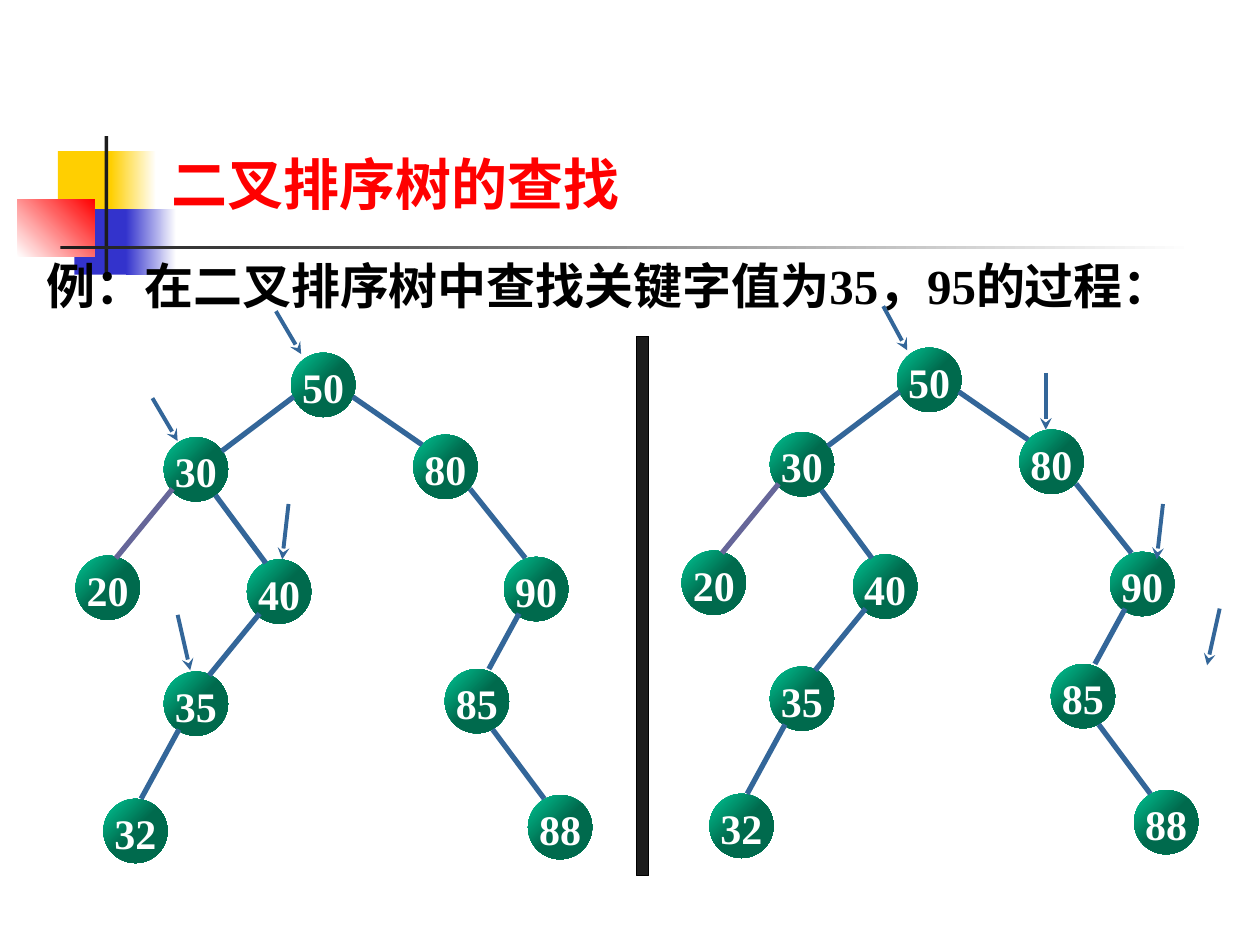
"""Builds a slide on searching a binary sort tree for 35 and 95."""
from lxml.etree import SubElement
from pptx import Presentation
from pptx.dml.color import RGBColor
from pptx.enum.shapes import MSO_CONNECTOR, MSO_SHAPE
from pptx.enum.text import MSO_ANCHOR, MSO_AUTO_SIZE, PP_ALIGN
from pptx.oxml.ns import qn
from pptx.util import Inches, Pt


def paint(item, *tints, turn=0, ends=(0, 1)):
    """Fill an item or font with one hex colour, or a gradient of two."""
    if len(tints) == 1:
        item.fill.solid()
        item.fill.fore_color.rgb = RGBColor.from_string(tints[0])
        return
    item.fill.gradient()
    item.fill.gradient_angle = turn
    for stop, tint, end in zip(item.fill.gradient_stops, tints, ends):
        stop.color.rgb = RGBColor.from_string(tint)
        stop.position = end


def write(frame, text, size, tint):
    """Add one bold run to the first paragraph of a frame."""
    run = frame.paragraphs[0].add_run()
    run.text = text
    run.font.name = "Times New Roman"
    run.font.size = Pt(size)
    run.font.bold = True
    paint(run.font, tint)


deck = Presentation()
deck.slide_width, deck.slide_height = Inches(10), Inches(7.5)
unit = deck.slide_width / 10
slide = deck.slides.add_slide(deck.slide_layouts[5])
shapes = slide.shapes

bars = [
    (0.46, 1.2, 0.48, 0.52, 0, ["FFCF01"]),
    (0.88, 1.2, 0.36, 0.52, 0, ["FFCF01", "FFFFFF"]),
    (0.59, 1.66, 0.46, 0.52, 0, ["3333CC"]),
    (1, 1.66, 0.4, 0.52, 0, ["3333CC", "FFFFFF"]),
    (0.14, 1.58, 0.61, 0.46, 45, ["FFFFFF", "FF0000"]),
    (0.83, 1.08, 0.03, 1.15, 0, ["1C1C1C"]),
    (0.48, 1.95, 9, 0.03, 0, ["1C1C1C", "FFFFFF"]),
    (5.05, 2.67, 0.1, 4.28, 0, ["1C1C1C"]),
]
for *place, turn, tints in bars:
    bar = shapes.add_shape(MSO_SHAPE.RECTANGLE, *[int(n * unit) for n in place])
    bar.shadow.inherit = False
    bar.line.fill.background()
    paint(bar, *tints, turn=turn)
paint(bar.line, "000000")
bar.line.width = Pt(0.75)

title = shapes.title
lead = shapes.add_textbox(0, 0, 0, 0)
texts = [
    (title, (1.26, 1.14, 4.5, 0.63), "二叉排序树的查找", 32, "FF0000"),
    (lead, (0.27, 1.98, 9.15, 0.57), "例：在二叉排序树中查找关键字值为35，95的过程：", 28, "000000"),
]
for box, place, text, size, tint in texts:
    box.left, box.top, box.width, box.height = [int(n * unit) for n in place]
    frame = box.text_frame
    frame.word_wrap = True
    frame.auto_size = MSO_AUTO_SIZE.NONE
    frame.vertical_anchor = MSO_ANCHOR.TOP
    frame.paragraphs[0].alignment = PP_ALIGN.LEFT
    write(frame, text, size, tint)

side = 0.51
nodes = {
    "50": (2.31, 2.8), "30": (1.3, 3.47), "20": (0.6, 4.41), "80": (3.28, 3.45),
    "90": (4, 4.42), "85": (3.53, 5.31), "88": (4.19, 6.31), "40": (1.96, 4.44),
    "35": (1.3, 5.33), "32": (0.82, 6.34),
}
edges = [
    (2.33, 3.15, 1.76, 3.58), (1.37, 3.88, 0.92, 4.43), (2.8, 3.15, 3.35, 3.53),
    (1.71, 3.93, 2.11, 4.47), (2.06, 4.87, 1.66, 5.36), (3.73, 3.88, 4.17, 4.43),
    (4.12, 4.87, 3.88, 5.31), (3.91, 5.79, 4.32, 6.34), (1.42, 5.79, 1.12, 6.34),
]
steps = [
    (2.19, 2.47, 2.39, 2.81), (1.21, 3.16, 1.41, 3.5),
    (2.29, 4, 2.24, 4.44), (1.41, 4.88, 1.51, 5.32),
    (7.01, 2.43, 7.2, 2.78), (8.3, 2.96, 8.3, 3.41),
    (9.23, 4, 9.18, 4.44), (9.68, 4.83, 9.58, 5.28),
]
lines = [(step, "336699", 2.25) for step in steps]

for dx, dy in [(0, 0), (4.81, -0.04)]:
    for key, (x, y) in nodes.items():
        node = shapes.add_shape(
            MSO_SHAPE.OVAL, *[int(n * unit) for n in (x + dx, y + dy, side, side)])
        node.shadow.inherit = False
        node.line.fill.background()
        paint(node, "00C896", "006A4D", turn=315, ends=(0, 0.5))
        frame = node.text_frame
        frame.word_wrap = False
        frame.margin_left = frame.margin_right = frame.margin_bottom = 0
        frame.margin_top = Pt(2)
        frame.vertical_anchor = MSO_ANCHOR.MIDDLE
        frame.paragraphs[0].alignment = PP_ALIGN.CENTER
        write(frame, key, 24, "FFFFFF")
    for rank, (x, y, u, v) in enumerate(edges):
        tint = "666699" if rank == 1 else "336699"
        lines.append(((x + dx, y + dy, u + dx, v + dy), tint, 3))

for ends, tint, width in lines:
    line = shapes.add_connector(MSO_CONNECTOR.STRAIGHT, *[int(n * unit) for n in ends])
    paint(line.line, tint)
    line.line.width = Pt(width)
    if width < 3:
        SubElement(line.line._get_or_add_ln(), qn("a:tailEnd"), type="stealth")
    SubElement(line._element.spPr, qn("a:effectLst"))

deck.save("out.pptx")
